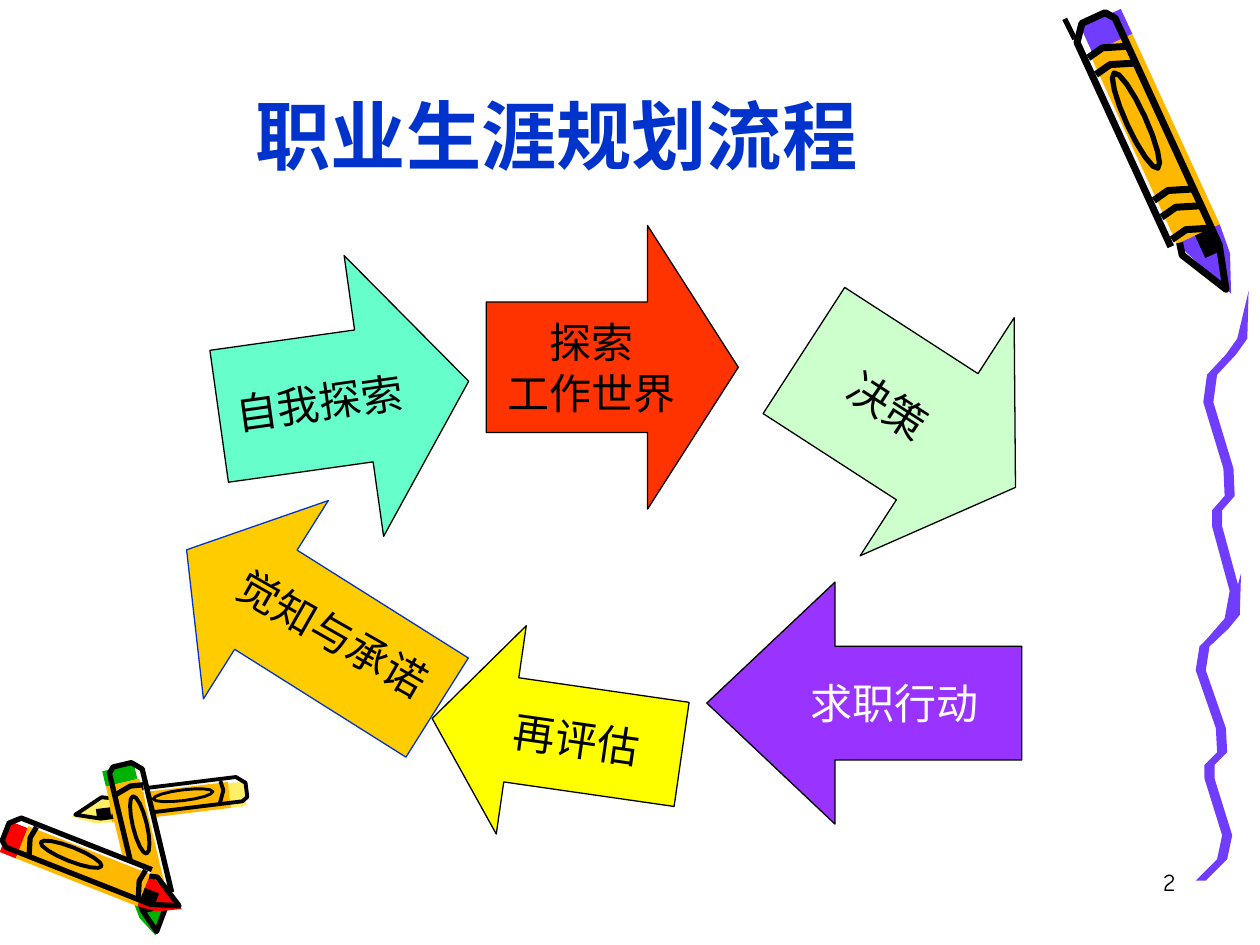
import math

from lxml import etree
from pptx import Presentation
from pptx import util as u
from pptx.dml.color import RGBColor
from pptx.enum import lang, shapes, text
from pptx.oxml.ns import qn

COLORS = {
    "black": "000000", "white": "FFFFFF", "blue": "0033CC", "violet": "703DFF",
    "amber": "FFB800", "pale": "F8F8F8", "cream": "FFEF66", "red": "FF0000",
    "green": "00B200", "aqua": "66FFCC", "vermilion": "FF3300", "mint": "CCFFCC",
    "purple": "9933FF", "yellow": "FFFF00", "gold": "FFCC00",
}
BODY_FONT, TITLE_FONT = "DejaVu Sans", "Comic Neue"

CAP_END, NIB_START = 0.1, 0.78
LIT_EDGE, INK_EDGE, COLOR_EDGE = -0.57, 0.22, 0.38
SMALL_BANDS = (0.14, 0.75)
BIG_BANDS = (0.11, 0.17, 0.62, 0.68, 0.76)

SMALL_CRAYONS = [
    ("cream", (1.96, 6.3), (0.57, 6.47), 0.25),
    ("green", (0.93, 6.08), (1.25, 7.42), -0.33),
    ("red", (0.03, 6.64), (1.45, 7.2), -0.33),
]
BIG_CRAYON = ("violet", (8.73, 0.12), (9.75, 2.34), 0.45)

SQUIGGLE_TOP, SQUIGGLE_HALF_WIDTH = 4.55, 0.04
SQUIGGLE_SPINE = [
    (9.85, 4.55), (9.8, 4.88), (9.71, 4.99), (9.56, 5.13), (9.53, 5.32), (9.69, 5.78),
    (9.7, 5.97), (9.6, 6.07), (9.6, 6.18), (9.74, 6.63), (9.7, 6.82), (9.53, 6.99),
]

RIGHT, LEFT = shapes.MSO_SHAPE.RIGHT_ARROW, shapes.MSO_SHAPE.LEFT_ARROW
STEPS = [
    ("自我探索", RIGHT, (1.73, 2.04, 2, 2.25), 352, (0.47, 0.42), "aqua", {}),
    ("探索\n工作世界", RIGHT, (3.86, 1.79, 2, 2.25), 0, (0.46, 0.36), "vermilion", {}),
    ("决策", RIGHT, (6.22, 2.2, 2, 2.25), 32.9, (0.53, 0.37), "mint", {}),
    ("求职行动", LEFT, (5.61, 4.62, 2.5, 1.92), 0, (0.47, 0.53), "purple", {"color": "white"}),
    ("再评估", LEFT, (3.42, 5.01, 2, 1.67), 8.2, (0.5, 0.38), "yellow", {}),
    ("", LEFT, (1.3, 4.06, 2.35, 1.86), 32.2, (0.5, 0.4), "gold", {"line": "blue"}),
]


def rgb(name):
    return RGBColor.from_string(COLORS[name])


def crayon_axes(tail, tip, width):
    dx, dy = tip[0] - tail[0], tip[1] - tail[1]
    length = math.hypot(dx, dy)
    across_x, across_y = dy / length * width, -dx / length * width

    def place(pts):
        return [(tail[0] + along * dx + across * across_x,
                 tail[1] + along * dy + across * across_y) for along, across in pts]
    return place


def slab(start, end, near, far):
    return [(start, near), (end, near), (end, far), (start, far)]


def ellipse(center, radii, steps=16):
    angles = [2 * math.pi * i / steps for i in range(steps)]
    return [(center[0] + radii[0] * math.cos(a), center[1] + radii[1] * math.sin(a)) for a in angles]


def ribbon(spine, half_width):
    tip, *rest = spine
    left = [(x - half_width, y) for x, y in rest]
    right = [(x + half_width, y) for x, y in rest]
    return [tip] + right + left[::-1]


def write(tf, content, size=24, font=BODY_FONT, color="black", bold=False,
          align=text.PP_ALIGN.CENTER, anchor=text.MSO_ANCHOR.MIDDLE, wrap=True):
    tf.word_wrap = wrap
    tf.auto_size = text.MSO_AUTO_SIZE.NONE
    tf.vertical_anchor = anchor
    for i, line in enumerate(content.split("\n")):
        p = tf.paragraphs[0] if i == 0 else tf.add_paragraph()
        p.alignment = align
        r = p.add_run()
        r.text = line
        r.font.name, r.font.size, r.font.bold = font, u.Pt(size), bold
        r.font.color.rgb = rgb(color)
        r.font.language_id = lang.MSO_LANGUAGE_ID.SIMPLIFIED_CHINESE


class Deck:
    def __init__(self):
        self.prs = Presentation()
        self.prs.slide_width, self.prs.slide_height = u.Inches(10), u.Inches(7.5)
        self.s = self.prs.slides.add_slide(self.prs.slide_layouts[5])

    def title(self, content, box):
        sp = self.s.shapes.title
        sp.left, sp.top, sp.width, sp.height = map(u.Inches, box)
        write(sp.text_frame, content, size=43, font=TITLE_FONT, color="blue",
              bold=True, align=text.PP_ALIGN.LEFT)

    def freeform(self, pts, close):
        start, *rest = [(u.Inches(x), u.Inches(y)) for x, y in pts]
        fb = self.s.shapes.build_freeform(*start)
        fb.add_line_segments(rest, close=close)
        sp = fb.convert_to_shape()
        sp.shadow.inherit = False
        return sp

    def area(self, color, pts):
        sp = self.freeform(pts, close=True)
        sp.fill.solid()
        sp.fill.fore_color.rgb = rgb(color)
        sp.line.fill.background()

    def ink(self, pts, weight, close=False):
        sp = self.freeform(pts, close)
        sp.fill.background()
        sp.line.color.rgb, sp.line.width = rgb("black"), u.Pt(weight)

    def line(self, start, end, weight):
        c = self.s.shapes.add_connector(shapes.MSO_CONNECTOR.STRAIGHT, *map(u.Inches, start + end))
        c.line.color.rgb, c.line.width = rgb("black"), u.Pt(weight)
        etree.SubElement(c.element.spPr, qn("a:effectLst"))

    def crayon(self, color, tail, tip, width, bands=SMALL_BANDS):
        place = crayon_axes(tail, tip, width)
        weight = round(abs(width) * 9, 1)
        nib = [(NIB_START, -0.45), (NIB_START, COLOR_EDGE), (0.88, 0.33), (1, 0.05)]
        outline = [(NIB_START, LIT_EDGE), (0.05, LIT_EDGE), (0, -0.35), (0, 0.1), (0.03, INK_EDGE),
                   (0.84, INK_EDGE), (0.98, 0), (0.82, -0.45), (NIB_START, -0.4)]
        fills = [
            ("pale", slab(0.03, NIB_START, LIT_EDGE, INK_EDGE) + [(1, 0)]),
            (color, slab(0.01, CAP_END, -0.4, COLOR_EDGE)),
            ("amber", slab(CAP_END, NIB_START, -0.45, COLOR_EDGE)),
            (color, nib),
            ("black", slab(NIB_START, 0.86, -0.1, INK_EDGE)),
        ]
        for fill, pts in fills:
            self.area(fill, place(pts))
        self.ink(place(outline), weight)
        for t in bands:
            self.ink(place([(t, -0.5), (t - 0.01, -0.2), (t + 0.02, INK_EDGE)]), weight)
        self.ink(place(ellipse((0.36, -0.2), (0.17, 0.17))), weight * 0.75, close=True)

    def arrow(self, content, kind, box, angle, adjust, fill, line="black", color="black"):
        sp = self.s.shapes.add_shape(kind, *map(u.Inches, box))
        sp.shadow.inherit = False
        sp.rotation = angle
        sp.adjustments[0], sp.adjustments[1] = adjust
        sp.fill.solid()
        sp.fill.fore_color.rgb = rgb(fill)
        sp.line.color.rgb, sp.line.width = rgb(line), u.Pt(0.75)
        if content:
            write(sp.text_frame, content, color=color, wrap=False)

    def label(self, content, box, angle=0, **style):
        sp = self.s.shapes.add_textbox(*map(u.Inches, box))
        sp.rotation = angle
        write(sp.text_frame, content, anchor=text.MSO_ANCHOR.TOP, **style)


def main():
    d = Deck()
    for crayon in SMALL_CRAYONS:
        d.crayon(*crayon)
    stretch = 2.84 / 2.48
    upper_spine = [(x + 0.06, 2.31 + (y - SQUIGGLE_TOP) * stretch) for x, y in SQUIGGLE_SPINE]
    for spine in (SQUIGGLE_SPINE, upper_spine):
        d.area("violet", ribbon(spine, SQUIGGLE_HALF_WIDTH))
    d.crayon(*BIG_CRAYON, bands=BIG_BANDS)
    d.line((8.45, 0.15), (8.53, 0.31), 3)
    for *step, style in STEPS:
        d.arrow(*step, **style)
    d.label("觉知与承诺", (1.61, 4.75, 1.88, 0.9), 29.7, align=text.PP_ALIGN.JUSTIFY)
    d.title("职业生涯规划流程", (1.93, 0.44, 5.47, 1.25))
    d.label("2", (7.35, 6.83, 2.08, 0.5), size=14, font=TITLE_FONT, align=text.PP_ALIGN.RIGHT)
    d.prs.save("out.pptx")


if __name__ == "__main__":
    main()
